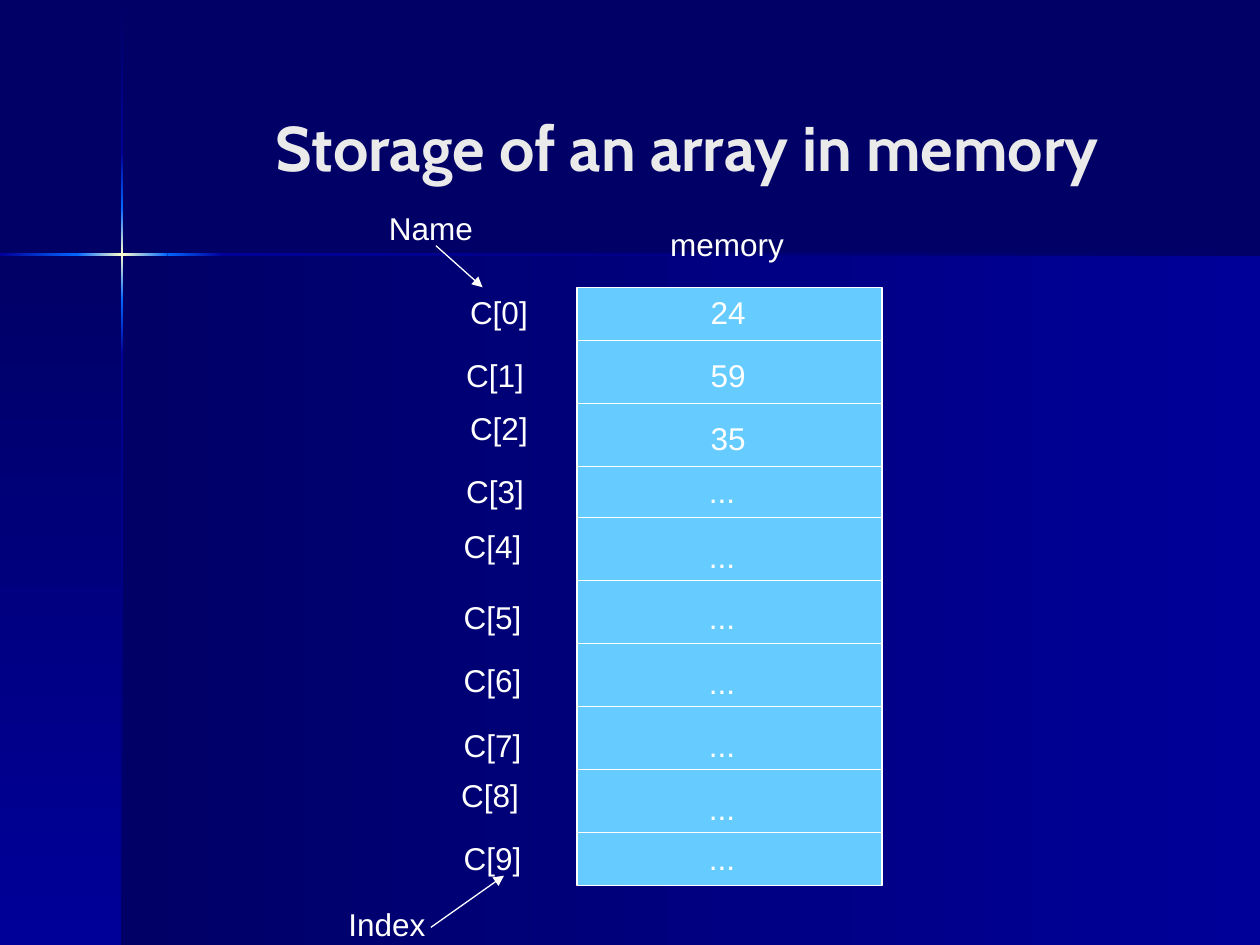
from copy import deepcopy
from itertools import pairwise

from lxml.etree import SubElement
from pptx import Presentation
from pptx.dml.color import RGBColor
from pptx.enum.shapes import MSO_CONNECTOR as Link, MSO_SHAPE as Shape
from pptx.enum.text import MSO_ANCHOR as Anchor, MSO_AUTO_SIZE as Fit, PP_ALIGN as Align
from pptx.oxml.ns import qn
from pptx.util import Inches, Pt

COLORS = {
    "deep": "000066", "blue": "000099", "glow": "0066FF", "spark": "FFFFCC",
    "cell": "66CCFF", "text": "FFFFFF", "title": "EAEAEA",
}
BODY = {"name": "Arial", "size": Pt(18)}
HEAD = {"name": "Cabin", "size": Pt(36), "bold": True}

# label centre, label top, value, value centre, value top
ROWS = [
    (3.96, 2.28, "24", 5.78, 2.28),
    (3.93, 2.78, "59", 5.78, 2.78),
    (3.96, 3.20, "35", 5.78, 3.28),
    (3.93, 3.70, "...", 5.73, 3.70),
    (3.91, 4.13, "...", 5.73, 4.21),
    (3.91, 4.70, "...", 5.73, 4.70),
    (3.91, 5.20, "...", 5.73, 5.21),
    (3.91, 5.71, "...", 5.73, 5.71),
    (3.89, 6.11, "...", 5.73, 6.21),
    (3.91, 6.61, "...", 5.73, 6.61),
]
EDGES = [2.7, 3.2, 3.7, 4.11, 4.61, 5.11, 5.61, 6.11, 6.61]


def rgb(key):
    return RGBColor.from_string(COLORS[key])


def style(para, form, color):
    para.alignment = Align.CENTER
    for key, value in form.items():
        setattr(para.font, key, value)
    para.font.color.rgb = rgb(color)


def add_rect(slide, box):
    rect = slide.shapes.add_shape(Shape.RECTANGLE, *map(Inches, box))
    rect.shadow.inherit = False
    return rect


def add_fade(slide, box, keys, down):
    """Rectangle with evenly spaced colour stops, running down or across."""
    rect = add_rect(slide, box)
    rect.line.fill.background()
    rect.fill.gradient()
    rect.fill.gradient_angle = 270 if down else 0
    stops = rect._element.spPr.find(".//" + qn("a:gsLst"))
    for _ in keys[2:]:
        stops.append(deepcopy(stops[0]))
    for i, (stop, key) in enumerate(zip(rect.fill.gradient_stops, keys)):
        stop.position = i / (len(keys) - 1)
        stop.color.rgb = rgb(key)


def add_text(slide, mid, top, wide, text):
    """Text line centred on mid."""
    box = slide.shapes.add_textbox(*map(Inches, (mid - wide / 2, top, wide, 0.4)))
    frame = box.text_frame
    frame.word_wrap = False
    frame.auto_size = Fit.SHAPE_TO_FIT_TEXT
    frame.text = text
    style(frame.paragraphs[0], BODY, "text")


def add_line(slide, start, end, arrow=False):
    line = slide.shapes.add_connector(Link.STRAIGHT, *map(Inches, (*start, *end)))
    line.line.color.rgb = rgb("text")
    line.line.width = Pt(0.75)
    if arrow:
        SubElement(line.line._get_or_add_ln(), qn("a:tailEnd"), type="triangle")
    SubElement(line._element.spPr, qn("a:effectLst"))


def add_backdrop(slide, wide, high):
    """Two panels and the crossing rays of light between them."""
    slide.background.fill.solid()
    slide.background.fill.fore_color.rgb = rgb("deep")
    x, y, thin = 0.97, 2.02, 0.02
    add_fade(slide, (x, y, wide - x, high - y), ["deep", "blue"], False)
    add_fade(slide, (0, y, x, high - y), ["deep", "blue"], True)

    fades = [
        ["deep", "blue"], ["blue", "glow"], ["glow", "spark", "glow"],
        ["glow", "blue"], ["blue", "deep"],
    ]
    for (a, b), keys in zip(pairwise([0.01, 1.21, 1.65, 2.38, 2.82, high]), fades):
        add_fade(slide, (x - thin / 2, a, thin, b - a), keys, True)
    for (a, b), keys in zip(pairwise([0, 0.61, 1.33, 1.77, wide]), fades[1:]):
        add_fade(slide, (a, y - thin / 2, b - a, thin), keys, False)


def add_title(slide, box, text):
    title = slide.shapes.title
    title.left, title.top, title.width, title.height = map(Inches, box)
    title.text_frame.text = text
    title.text_frame.vertical_anchor = Anchor.MIDDLE
    style(title.text_frame.paragraphs[0], HEAD, "title")


def add_memory(slide, box):
    left, _, wide, _ = box
    rect = add_rect(slide, box)
    rect.fill.solid()
    rect.fill.fore_color.rgb = rgb("cell")
    rect.line.color.rgb = rgb("text")
    rect.line.width = Pt(0.75)
    for y in EDGES:
        add_line(slide, (left, y), (left + wide, y))
    for i, (mid, top, value, x, y) in enumerate(ROWS):
        add_text(slide, mid, top, 0.8, f"C[{i}]")
        add_text(slide, x, y, 0.5, value)
    add_text(slide, 5.77, 1.74, 1.3, "memory")


def add_notes(slide):
    """Callouts for the parts of an element's label."""
    add_text(slide, 3.42, 1.61, 0.95, "Name")
    add_line(slide, (3.46, 1.95), (3.83, 2.28), arrow=True)
    add_text(slide, 3.07, 7.13, 0.9, "Index")
    add_line(slide, (3.42, 7.36), (4, 6.95), arrow=True)


def main():
    deck = Presentation()
    wide, high = 10, 7.5
    deck.slide_width, deck.slide_height = Inches(wide), Inches(high)
    slide = deck.slides.add_slide(deck.slide_layouts[5])
    add_backdrop(slide, wide, high)
    add_title(slide, (1.33, 0.38, 8.25, 1.57), "Storage of an array in memory")
    add_memory(slide, (4.58, 2.28, 2.42, 4.75))
    add_notes(slide)
    deck.save("out.pptx")


if __name__ == "__main__":
    main()
